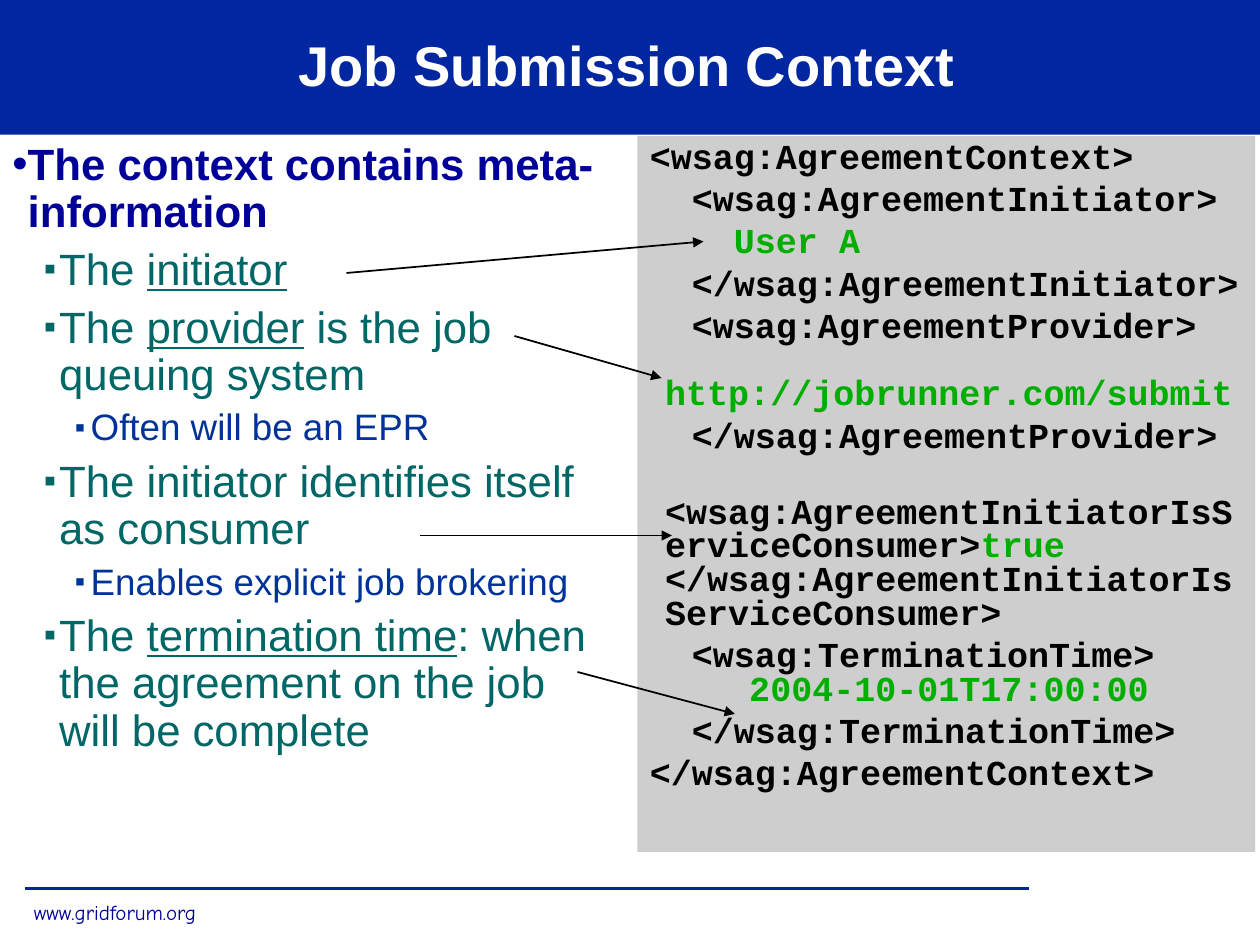
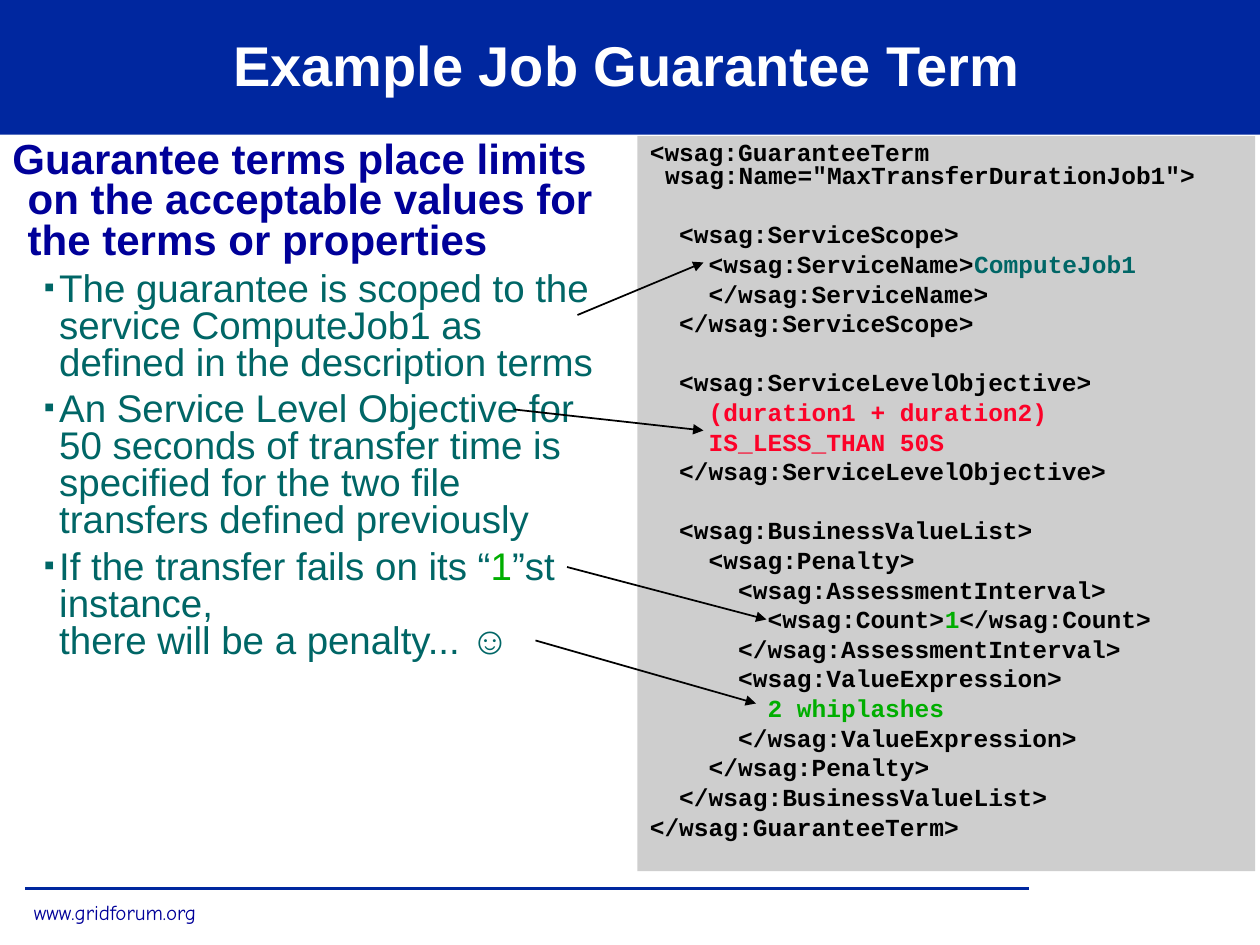
from dataclasses import dataclass
from typing import NamedTuple

from lxml import etree
from pptx import Presentation
from pptx.dml.color import RGBColor
from pptx.enum.shapes import MSO_CONNECTOR, MSO_SHAPE
from pptx.enum.text import MSO_ANCHOR, MSO_AUTO_SIZE, PP_ALIGN
from pptx.oxml.ns import qn
from pptx.util import Pt

STRAIGHT = MSO_CONNECTOR.STRAIGHT
RECTANGLE = MSO_SHAPE.RECTANGLE
MIDDLE = MSO_ANCHOR.MIDDLE
NO_AUTOFIT = MSO_AUTO_SIZE.NONE
CENTER = PP_ALIGN.CENTER
TITLE_ONLY = 5


@dataclass(frozen=True)
class Theme:
    band: str = "00279F"
    white: str = "FFFFFF"
    panel: str = "CECECE"
    black: str = "000000"
    navy: str = "000099"
    teal: str = "006666"
    blue: str = "003399"
    green: str = "00AE00"
    red: str = "FC0128"
    text_font: str = "Arial"
    code_font: str = "Courier New"
    footer_font: str = "Comic Neue"
    title_size: float = 32
    footer_size: float = 12


THEME = Theme()


class Box(NamedTuple):
    left: float
    top: float
    width: float
    height: float

    def lengths(self):
        return [Pt(value) for value in self]


class Span(NamedTuple):
    text: str
    color: str = ""
    underline: bool = False


class Style(NamedTuple):
    """Look of one paragraph level."""
    size: float
    color: str
    spacing: float
    before: float
    font: str = THEME.text_font
    bold: bool = False
    level: int = 0
    margin: float = 8.75
    hanging: float = 8.75
    bullet: str = ""
    bullet_percent: int = 80


PAGE = Box(0, 0, 720, 540)
BAND = Box(0, 0, 720, 77)
TITLE = Box(0, 0, 716.4, 73.4)
NOTES = Box(0, 77.75, 353, 409)
CODE_LEFT = 364.25
FOOTER = Box(12.25, 510.5, 107, 21.6)
RULE = (14.4, 507.6, 588.25, 507.6)

HEADING = Style(25, THEME.navy, 0.9, 6.2, bold=True, bullet="•", bullet_percent=100)
POINT = Style(25, THEME.teal, 0.9, 6.2, level=1, margin=26.75, bullet="▪")
DETAIL = Style(21, THEME.blue, 0.9, 5.2, level=2, margin=44.75, hanging=9, bullet="▪")
PLAIN_HEADING = HEADING._replace(size=24, spacing=0.8, before=6, bullet="")
TIGHT_POINT = POINT._replace(size=22, spacing=0.8, before=5.5)
LARGE_CODE = Style(20, THEME.black, 0.8, 5, font=THEME.code_font, bold=True)
SMALL_CODE = LARGE_CODE._replace(size=14, before=3.5)
SMALL_CODE_GAP = SMALL_CODE._replace(before=20.4)

CONTEXT_NOTES = [
    (HEADING, "The context contains meta-information"),
    (POINT, [Span("The "), Span("initiator", underline=True)]),
    (POINT, [Span("The "), Span("provider", underline=True),
             Span(" is the job queuing system")]),
    (DETAIL, "Often will be an EPR"),
    (POINT, "The initiator identifies itself as consumer"),
    (DETAIL, "Enables explicit job brokering"),
    (POINT, [Span("The "), Span("termination time", underline=True),
             Span(": when the agreement on the job will be complete")]),
]
CONTEXT_CODE = [(LARGE_CODE, line) for line in [
    "<wsag:AgreementContext>",
    "  <wsag:AgreementInitiator>",
    [Span("    User A", THEME.green)],
    "  </wsag:AgreementInitiator>",
    [Span("  <wsag:AgreementProvider>\v"),
     Span("    http://jobrunner.com/submit", THEME.green)],
    "  </wsag:AgreementProvider>",
    [Span(" <wsag:AgreementInitiatorIsServiceConsumer>"),
     Span("true ", THEME.green),
     Span("</wsag:AgreementInitiatorIsServiceConsumer>")],
    [Span("  <wsag:TerminationTime>\v"),
     Span("    2004-10-01T17:00:00", THEME.green)],
    "  </wsag:TerminationTime>",
    "</wsag:AgreementContext>",
]]
CONTEXT_ARROWS = [
    (198, 156, 402, 138), (294, 192, 378, 216),
    (240, 306, 384, 306), (330, 384, 420, 408),
]

GUARANTEE_NOTES = [
    (PLAIN_HEADING, "Guarantee terms place limits on the acceptable values "
                    "for the terms or properties"),
    (TIGHT_POINT, "The guarantee is scoped to the service ComputeJob1 "
                  "as defined in the description terms"),
    (TIGHT_POINT, "An Service Level Objective for 50 seconds of transfer time "
                  "is specified for the two file transfers defined previously"),
    (TIGHT_POINT, [Span("If the transfer fails on its “"), Span("1", THEME.green),
                   Span("”st instance,\vthere will be a penalty... ☺")]),
]
GUARANTEE_CODE_BLOCKS = [
    ['<wsag:GuaranteeTerm wsag:Name="MaxTransferDurationJob1">'],
    ["  <wsag:ServiceScope>",
     [Span("    <wsag:ServiceName>"), Span("ComputeJob1", THEME.teal)],
     "    </wsag:ServiceName>",
     "  </wsag:ServiceScope>"],
    ["  <wsag:ServiceLevelObjective>",
     [Span("    (duration1 + duration2)", THEME.red)],
     [Span("    IS_LESS_THAN 50S", THEME.red)],
     "  </wsag:ServiceLevelObjective>"],
    ["  <wsag:BusinessValueList>",
     "    <wsag:Penalty>",
     "      <wsag:AssessmentInterval>",
     [Span("        <wsag:Count>"), Span("1", THEME.green), Span("</wsag:Count>")],
     "      </wsag:AssessmentInterval>",
     "      <wsag:ValueExpression>",
     [Span("        2 whiplashes", THEME.green)],
     "      </wsag:ValueExpression>",
     "    </wsag:Penalty>",
     "  </wsag:BusinessValueList>",
     "</wsag:GuaranteeTerm>"],
]
GUARANTEE_CODE = [
    (SMALL_CODE if index else SMALL_CODE_GAP, line)
    for block in GUARANTEE_CODE_BLOCKS for index, line in enumerate(block)
]
GUARANTEE_ARROWS = [
    (330, 180, 402, 150), (294, 234, 402, 246),
    (324, 324, 438, 354), (306, 366, 432, 402),
]


def rgb(color):
    return RGBColor.from_string(color)


def fill_solid(shape, color):
    shape.fill.solid()
    shape.fill.fore_color.rgb = rgb(color)


def format_font(font, name, size, color, bold=False):
    font.name = name
    font.size = Pt(size)
    font.bold = bold
    font.color.rgb = rgb(color)


def set_indent_and_bullet(para, style):
    properties = para._p.get_or_add_pPr()
    properties.set("marL", str(Pt(style.margin)))
    properties.set("indent", str(-Pt(style.hanging)))
    if not style.bullet:
        etree.SubElement(properties, qn("a:buNone"))
        return
    bullet_color = etree.SubElement(properties, qn("a:buClr"))
    etree.SubElement(bullet_color, qn("a:srgbClr"), val=style.color)
    etree.SubElement(properties, qn("a:buSzPct"), val=str(style.bullet_percent * 1000))
    etree.SubElement(properties, qn("a:buFont"), typeface=style.font)
    etree.SubElement(properties, qn("a:buChar"), char=style.bullet)


def add_span(para, span, style):
    """Add one span; a vertical tab in its text becomes a line break."""
    for index, piece in enumerate(span.text.split("\v")):
        if index:
            para.add_line_break()
        if piece:
            run = para.add_run()
            run.text = piece
            format_font(run.font, style.font, style.size,
                        span.color or style.color, style.bold)
            if span.underline:
                run.font.underline = True


def add_text_panel(page, box, lines, fill=None):
    panel = page.shapes.add_textbox(*box.lengths())
    if fill:
        fill_solid(panel, fill)
    frame = panel.text_frame
    frame.word_wrap = True
    frame.auto_size = NO_AUTOFIT
    for index, (style, content) in enumerate(lines):
        para = frame.add_paragraph() if index else frame.paragraphs[0]
        set_indent_and_bullet(para, style)
        para.level = style.level
        para.line_spacing = style.spacing
        para.space_before = Pt(style.before if index else 0)
        spans = [Span(content)] if isinstance(content, str) else content
        for span in spans:
            add_span(para, span, style)


def add_line(page, ends, color, width, arrow=False):
    line = page.shapes.add_connector(STRAIGHT, *[Pt(value) for value in ends])
    line.line.color.rgb = rgb(color)
    line.line.width = Pt(width)
    if arrow:
        etree.SubElement(line.line._get_or_add_ln(), qn("a:tailEnd"), type="triangle")
    etree.SubElement(line._element.spPr, qn("a:effectLst"))
    return line


def add_footer(page, box):
    footer = page.shapes.add_textbox(*box.lengths())
    frame = footer.text_frame
    frame.word_wrap = False
    frame.text = "www.gridforum.org"
    format_font(frame.paragraphs[0].runs[0].font, THEME.footer_font,
                THEME.footer_size, THEME.navy)
    return footer


def move_frame_to_layout(page, layout):
    """Draw the band, rule and footer once, then let the layout carry them."""
    band = page.shapes.add_shape(RECTANGLE, *BAND.lengths())
    band.shadow.inherit = False
    fill_solid(band, THEME.band)
    band.line.fill.background()
    rule = add_line(page, RULE, THEME.band, 2)
    footer = add_footer(page, FOOTER)
    for part in (band, rule, footer):
        layout.shapes._spTree.append(part._element)


def set_title(page, box, text):
    title = page.shapes.title
    title.left, title.top, title.width, title.height = box.lengths()
    fill_solid(title, THEME.band)
    frame = title.text_frame
    frame.text = text
    frame.word_wrap = True
    frame.auto_size = NO_AUTOFIT
    frame.vertical_anchor = MIDDLE
    para = frame.paragraphs[0]
    para.alignment = CENTER
    format_font(para.runs[0].font, THEME.text_font, THEME.title_size,
                THEME.white, bold=True)


def add_annotated_code_page(page, title, notes, code, code_height, arrows):
    set_title(page, TITLE, title)
    add_text_panel(page, NOTES, notes)
    code_box = NOTES._replace(left=CODE_LEFT, height=code_height)
    add_text_panel(page, code_box, code, THEME.panel)
    for ends in arrows:
        add_line(page, ends, THEME.black, 1, arrow=True)


def main():
    deck = Presentation()
    deck.slide_width, deck.slide_height = Pt(PAGE.width), Pt(PAGE.height)
    layout = deck.slide_layouts[TITLE_ONLY]
    context_page = deck.slides.add_slide(layout)
    move_frame_to_layout(context_page, layout)
    add_annotated_code_page(context_page, "Job Submission Context",
                            CONTEXT_NOTES, CONTEXT_CODE, 409, CONTEXT_ARROWS)
    add_annotated_code_page(deck.slides.add_slide(layout), "Example Job Guarantee Term",
                            GUARANTEE_NOTES, GUARANTEE_CODE, 420, GUARANTEE_ARROWS)
    deck.save("out.pptx")


if __name__ == "__main__":
    main()
